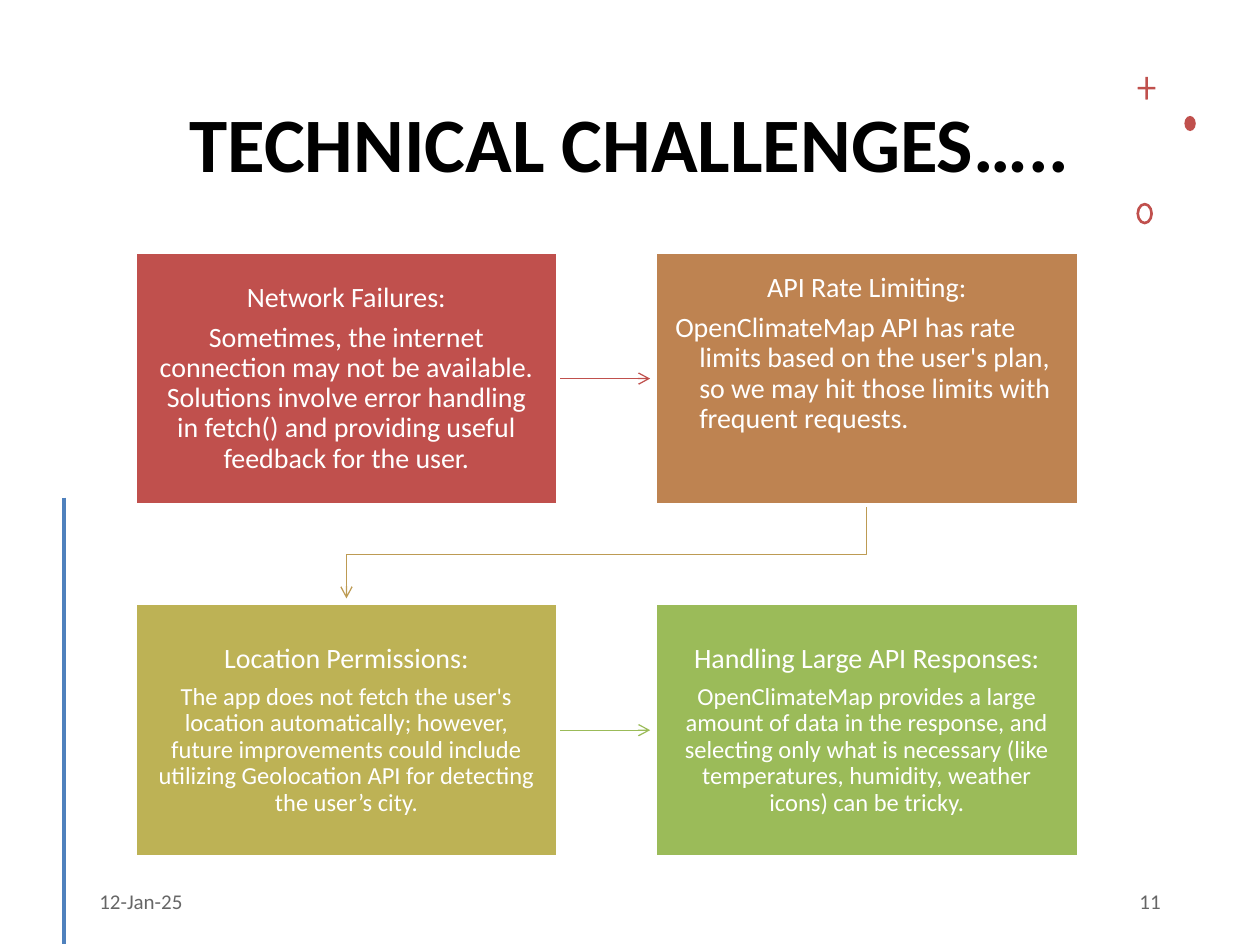
from dataclasses import dataclass
from lxml.etree import SubElement
from pptx import Presentation
from pptx.dml.color import RGBColor
from pptx.enum.shapes import MSO_CONNECTOR, MSO_SHAPE
from pptx.enum.text import MSO_ANCHOR, PP_ALIGN
from pptx.oxml.ns import qn
from pptx.util import Inches, Pt


@dataclass(frozen=True)
class Theme:
    font: str = "Calibri"
    white: str = "FFFFFF"
    black: str = "000000"
    red: str = "C0504D"
    orange: str = "BE8351"
    gold: str = "BD9B53"
    olive: str = "BDB255"
    green: str = "9BBB59"
    blue: str = "4F81BD"
    title_size: int = 44
    large_size: int = 16
    small_size: int = 14
    footer_size: int = 12
    footer_opacity: int = 60000


@dataclass(frozen=True)
class Challenge:
    heading: str
    body: str
    color: str
    body_size: int
    hanging: bool = False


THEME = Theme()
CHALLENGES = [
    Challenge("Network Failures:",
              "Sometimes, the internet connection may not be available. Solutions involve "
              "error handling in fetch() and providing useful feedback for the user.",
              THEME.red, THEME.large_size),
    Challenge("API Rate Limiting:",
              "OpenClimateMap API has rate limits based on the user's plan, "
              "so we may hit those limits with frequent requests.",
              THEME.orange, THEME.large_size, hanging=True),
    Challenge("Location Permissions:",
              "The app does not fetch the user's location automatically; however, future "
              "improvements could include utilizing Geolocation API for detecting the user’s city.",
              THEME.olive, THEME.small_size),
    Challenge("Handling Large API Responses:",
              "OpenClimateMap provides a large amount of data in the response, and selecting only "
              "what is necessary (like temperatures, humidity, weather icons) can be tricky.",
              THEME.green, THEME.small_size),
]
LEFT, TOP = 1.07, 2.0
BOX_WIDTH, BOX_HEIGHT = 3.36, 2.01
COLUMN_STEP, ROW_STEP = 4.13, 2.79
ARROW_GAP = 0.04


def format_para(para, size, color, align, bold=False):
    para.alignment = align
    for span in para.runs:
        span.font.name = THEME.font
        span.font.size = Pt(size)
        span.font.bold = bold
        span.font.color.rgb = RGBColor.from_string(color)


def add_text(page, text, left, top, width, height, size, align, bold=False):
    box = page.shapes.add_textbox(Inches(left), Inches(top), Inches(width), Inches(height))
    frame = box.text_frame
    frame.word_wrap = True
    frame.vertical_anchor = MSO_ANCHOR.MIDDLE
    frame.text = text
    format_para(frame.paragraphs[0], size, THEME.black, align, bold)
    return box


def add_footer(page, text, left, align):
    box = add_text(page, text, left, 6.95, 2.25, 0.4, THEME.footer_size, align)
    for color in box.text_frame._txBody.iter(qn("a:srgbClr")):
        SubElement(color, qn("a:alpha"), val=str(THEME.footer_opacity))


def add_solid(page, kind, left, top, width, height, color):
    shape = page.shapes.add_shape(kind, Inches(left), Inches(top), Inches(width), Inches(height))
    shape.shadow.inherit = False
    shape.fill.solid()
    shape.fill.fore_color.rgb = RGBColor.from_string(color)
    shape.line.fill.background()
    return shape


def style_line(line, color, width):
    line.color.rgb = RGBColor.from_string(color)
    line.width = Pt(width)


def add_arrowhead(shape):
    SubElement(shape.line._get_or_add_ln(), qn("a:tailEnd"), type="arrow")


def add_line(page, start, end, color, width):
    points = [Inches(value) for value in (*start, *end)]
    connector = page.shapes.add_connector(MSO_CONNECTOR.STRAIGHT, *points)
    style_line(connector.line, color, width)
    SubElement(connector._element.spPr, qn("a:effectLst"))
    return connector


def add_row_arrow(page, row, color):
    y = TOP + row * ROW_STEP + BOX_HEIGHT / 2
    start = LEFT + BOX_WIDTH
    end = LEFT + COLUMN_STEP - ARROW_GAP
    add_arrowhead(add_line(page, (start, y), (end, y), color, 0.75))


def add_bent_arrow(page, color):
    first_x = LEFT + BOX_WIDTH / 2
    second_x = first_x + COLUMN_STEP
    start_y = TOP + BOX_HEIGHT
    end_y = TOP + ROW_STEP - ARROW_GAP
    middle_y = (TOP + ROW_STEP + start_y) / 2
    builder = page.shapes.build_freeform(Inches(second_x), Inches(start_y))
    corners = [(second_x, middle_y), (first_x, middle_y), (first_x, end_y)]
    builder.add_line_segments([(Inches(x), Inches(y)) for x, y in corners], close=False)
    arrow = builder.convert_to_shape()
    arrow.shadow.inherit = False
    arrow.fill.background()
    style_line(arrow.line, color, 0.75)
    add_arrowhead(arrow)


def add_challenge(page, index, challenge):
    row, column = divmod(index, 2)
    box = add_solid(page, MSO_SHAPE.RECTANGLE, LEFT + column * COLUMN_STEP,
                    TOP + row * ROW_STEP, BOX_WIDTH, BOX_HEIGHT, challenge.color)
    style_line(box.line, THEME.white, 2)
    frame = box.text_frame
    frame.word_wrap = True
    frame.vertical_anchor = MSO_ANCHOR.TOP if challenge.hanging else MSO_ANCHOR.MIDDLE
    frame.margin_left = frame.margin_right = Inches(0.16)
    frame.margin_top = frame.margin_bottom = Inches(0.17)
    frame.text = f"{challenge.heading}\n{challenge.body}"
    heading, body = frame.paragraphs
    format_para(heading, THEME.large_size, THEME.white, PP_ALIGN.CENTER)
    align = PP_ALIGN.LEFT if challenge.hanging else PP_ALIGN.CENTER
    format_para(body, challenge.body_size, THEME.white, align)
    for para in frame.paragraphs:
        para.line_spacing = 0.9
        para.space_after = Pt(5.6)
    if challenge.hanging:
        body.level = 1
        properties = body._p.get_or_add_pPr()
        properties.set("marL", str(Inches(0.19)))
        properties.set("indent", str(-Inches(0.19)))


def add_ornaments(page):
    add_solid(page, MSO_SHAPE.ROUNDED_RECTANGLE, 9.03, 0.69, 0.14, 0.02, THEME.red)
    add_solid(page, MSO_SHAPE.ROUNDED_RECTANGLE, 9.09, 0.61, 0.02, 0.18, THEME.red)
    add_solid(page, MSO_SHAPE.OVAL, 9.4, 0.92, 0.09, 0.12, THEME.red)
    ring = add_solid(page, MSO_SHAPE.OVAL, 9.03, 1.62, 0.11, 0.15, THEME.red)
    ring.fill.background()
    style_line(ring.line, THEME.red, 1.5)


def main():
    deck = Presentation()
    deck.slide_width, deck.slide_height = Inches(10), Inches(7.5)
    page = deck.slides.add_slide(deck.slide_layouts[6])
    add_ornaments(page)
    add_line(page, (0.51, 3.95), (0.51, 7.49), THEME.blue, 2)
    add_footer(page, "12-Jan-25", 0.69, PP_ALIGN.LEFT)
    add_footer(page, "11", 7.06, PP_ALIGN.RIGHT)
    add_row_arrow(page, 0, THEME.red)
    add_bent_arrow(page, THEME.gold)
    add_row_arrow(page, 1, THEME.green)
    for index, challenge in enumerate(CHALLENGES):
        add_challenge(page, index, challenge)
    add_text(page, "TECHNICAL CHALLENGES…..", 0.69, 0.4, 8.62, 1.45,
             THEME.title_size, PP_ALIGN.CENTER, bold=True)
    deck.save("out.pptx")


if __name__ == "__main__":
    main()
